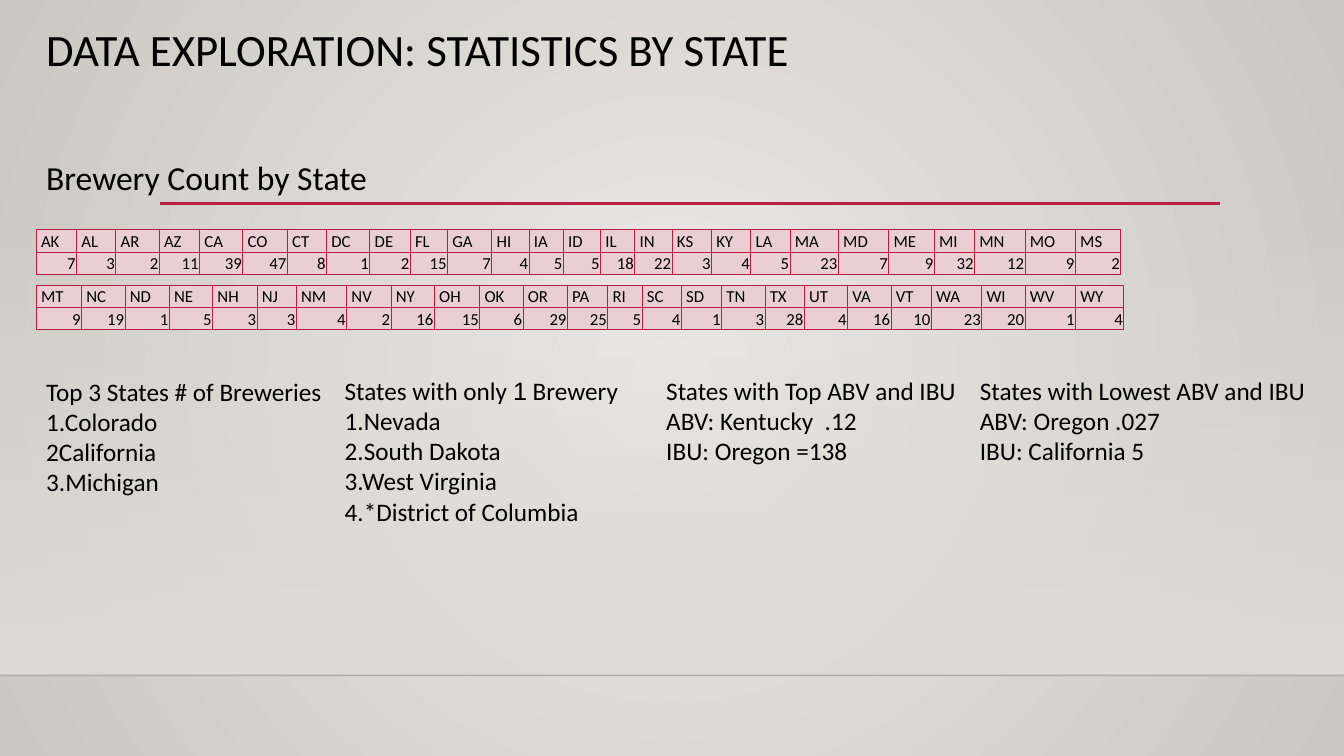
from lxml.etree import SubElement
from pptx import Presentation
from pptx.dml.color import RGBColor
from pptx.enum.shapes import MSO_CONNECTOR as CONN, MSO_SHAPE as SHAPE
from pptx.enum.text import MSO_ANCHOR as ANCHOR, MSO_AUTO_SIZE as AUTO, PP_ALIGN as ALIGN
from pptx.oxml.ns import qn
from pptx.util import Emu, Pt

SCALE = 9144
BLACK = "000000"
RED = "B71E42"
PINK = "E9CFD2"
BEIGE = "DFDBD5"

STATES_A = """AK 7 40|AL 3 39|AR 2 43|AZ 11 40|CA 39 43|CO 47 44|CT 8 39|DC 1 43|DE 2 40
|FL 15 37|GA 7 44|HI 4 37|IA 5 34|ID 5 37|IL 18 34|IN 22 37|KS 3 39|KY 4 39|LA 5 39
|MA 23 48|MD 7 50|ME 9 45|MI 32 40|MN 12 50|MO 9 50|MS 2 45"""
STATES_B = """MT 9 45|NC 19 43|ND 1 44|NE 5 43|NH 3 44|NJ 3 39|NM 4 50|NV 2 44|NY 16 43
|OH 15 45|OK 6 43|OR 29 44|PA 25 40|RI 5 34|SC 4 39|SD 1 40|TN 3 43|TX 28 39|UT 4 43
|VA 16 43|VT 10 40|WA 23 50|WI 20 43|WV 1 50|WY 4 48"""

FINDINGS = [
    (36, 368, 297, 131, ["Top 3 States # of Breweries", "1.Colorado", "2California", "3.Michigan"]),
    (332, 367, 296, 162, ["States with only |1| Brewery", "1.Nevada", "2.South Dakota",
                          "3.West Virginia", "4.*District of Columbia"]),
    (651, 367, 314, 101, ["States with Top ABV and IBU", "ABV: Kentucky  .12", "IBU: Oregon =138"]),
    (962, 367, 346, 101, ["States with Lowest ABV and IBU", "ABV: Oregon .027", "IBU: California 5"]),
]


def px(n):
    return Emu(n * SCALE)


def rgb(color):
    return RGBColor.from_string(color)


def set_alpha(color_el, percent):
    SubElement(color_el, qn("a:alpha"), val=str(percent * 1000))


def set_gradient(fill, first, last):
    fill.gradient()
    for stop, color in zip(fill.gradient_stops, (first, last)):
        stop.color.rgb = rgb(color)


def paint_background(s):
    set_gradient(s.background.fill, "ECEAE7", "CAC7C1")
    grad = next(s.background._cSld.iter(qn("a:gradFill")))
    grad.remove(grad.find(qn("a:lin")))
    path_el = SubElement(grad, qn("a:path"), {"path": "circle"})
    SubElement(path_el, qn("a:fillToRect"), {side: "50000" for side in "ltrb"})


def add_fade(s, x, y, w, h):
    sp = s.shapes.add_shape(SHAPE.RECTANGLE, px(x), px(y), px(w), px(h))
    sp.shadow.inherit = False
    sp.line.fill.background()
    set_gradient(sp.fill, BEIGE, BEIGE)
    sp.fill.gradient_angle = 270
    set_alpha(next(sp._element.spPr.iter(qn("a:srgbClr"))), 0)


def add_rule(s, x1, x2, y, color, width, alpha=100):
    cxn = s.shapes.add_connector(CONN.STRAIGHT, px(x1), px(y), px(x2), px(y))
    cxn.line.color.rgb = rgb(color)
    cxn.line.width = Pt(width)
    if alpha < 100:
        set_alpha(next(cxn._element.spPr.iter(qn("a:srgbClr"))), alpha)
    SubElement(cxn._element.spPr, qn("a:effectLst"))


def style_run(r, size, font="Calibri"):
    r.font.size = Pt(size)
    r.font.name = font
    r.font.color.rgb = rgb(BLACK)


def add_text(s, x, y, w, h, lines, size, wrap=False, spacing=None):
    tf = s.shapes.add_textbox(px(x), px(y), px(w), px(h)).text_frame
    tf.word_wrap = wrap
    tf.auto_size = AUTO.NONE if wrap else AUTO.SHAPE_TO_FIT_TEXT
    for i, line in enumerate(lines):
        p = tf.add_paragraph() if i else tf.paragraphs[0]
        p.line_spacing = spacing
        for j, part in enumerate(line.split("|")):
            r = p.add_run()
            r.text = part
            style_run(r, size, "Arial" if j % 2 else "Calibri")


def set_borders(cell):
    tc_pr = cell._tc.get_or_add_tcPr()
    for i, side in enumerate(("lnL", "lnR", "lnT", "lnB")):
        ln = SubElement(tc_pr, qn(f"a:{side}"), w=str(Pt(0.75)))
        fill = SubElement(ln, qn("a:solidFill"))
        SubElement(fill, qn("a:srgbClr"), val=RED)
        tc_pr.insert(i, ln)


def fill_cell(cell, text, align):
    cell.fill.solid()
    cell.fill.fore_color.rgb = rgb(PINK)
    cell.margin_left = cell.margin_right = cell.margin_top = px(1)
    cell.margin_bottom = 0
    cell.vertical_anchor = ANCHOR.BOTTOM
    p = cell.text_frame.paragraphs[0]
    p.text = text
    p.alignment = align
    style_run(p.runs[0], 12)
    set_borders(cell)


def add_state_table(s, x, y, states):
    entries = [entry.split() for entry in states.split("|")]
    width = sum(int(w) for _, _, w in entries)
    table = s.shapes.add_table(2, len(entries), px(x), px(y), px(width), px(44)).table
    table.first_row = table.horz_banding = False
    for row in table.rows:
        row.height = px(22)
    for c, (state, count, w) in enumerate(entries):
        table.columns[c].width = px(int(w))
        fill_cell(table.cell(0, c), f" {state}", ALIGN.LEFT)
        fill_cell(table.cell(1, c), count, ALIGN.RIGHT)


def main():
    prs = Presentation()
    prs.slide_width, prs.slide_height = px(1333), px(750)
    s = prs.slides.add_slide(prs.slide_layouts[6])
    paint_background(s)
    add_fade(s, 0, 221, 1333, 449)
    add_rule(s, 0, 1333, 670, "000001", 1, alpha=20)
    add_rule(s, 159, 1210, 202, RED, 2.5)
    add_text(s, 36, 23, 1150, 145, ["DATA EXPLORATION: STATISTICS BY STATE"], 32, wrap=True, spacing=0.9)
    add_state_table(s, 36, 228, STATES_A)
    add_state_table(s, 36, 283, STATES_B)
    for x, y, w, h, lines in FINDINGS:
        add_text(s, x, y, w, h, lines, 18)
    add_text(s, 36, 151, 341, 50, ["Brewery Count by State"], 24)
    prs.save("out.pptx")


if __name__ == "__main__":
    main()
